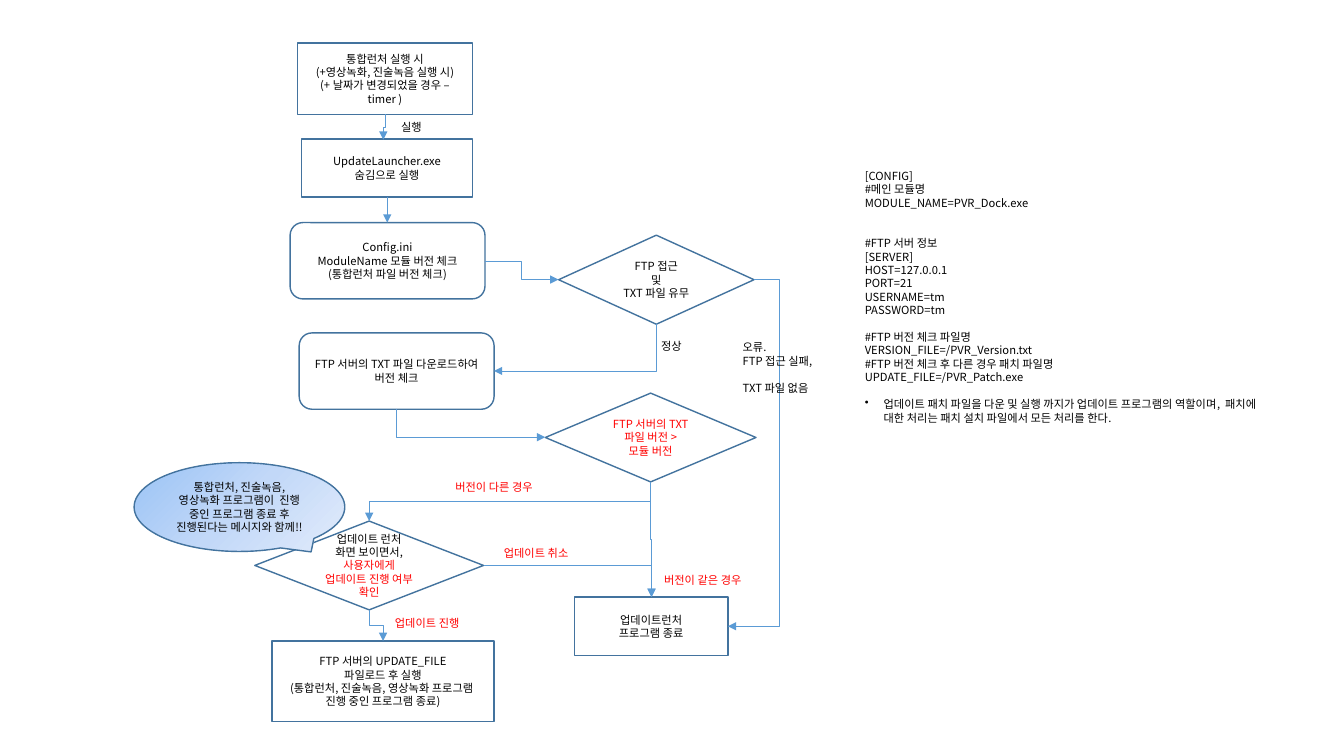
import pptx
import pptx.dml.color
import pptx.enum.dml
import pptx.enum.shapes
import pptx.enum.text
import pptx.oxml
import pptx.oxml.ns
import pptx.util
import copy

Pt = pptx.util.Pt
RGBColor = pptx.dml.color.RGBColor
SHAPE = pptx.enum.shapes.MSO_SHAPE
ALIGN = pptx.enum.text.PP_ALIGN
qn = pptx.oxml.ns.qn

BLACK = RGBColor(0x00, 0x00, 0x00)
RED = RGBColor(0xFF, 0x00, 0x00)
WHITE = RGBColor(0xFF, 0xFF, 0xFF)
OUTLINE = RGBColor(0x43, 0x73, 0x9E)
ARROW = RGBColor(0x5B, 0x9B, 0xD5)
CALLOUT_COLORS = (
    RGBColor(0x9A, 0xC3, 0xF5),
    RGBColor(0xC2, 0xD8, 0xF8),
    RGBColor(0xE1, 0xEB, 0xFB),
)
FONT = "Noto Sans CJK KR"
TEXT_SIZE = 8
LINE_HEIGHT = 9.6

CONFIG_BLOCKS = [
    (0, ["[CONFIG]", "#메인 모듈명", "MODULE_NAME=PVR_Dock.exe"]),
    (2, ["#FTP 서버 정보", "[SERVER]", "HOST=127.0.0.1", "PORT=21",
         "USERNAME=tm", "PASSWORD=tm"]),
    (1, ["#FTP 버전 체크 파일명", "VERSION_FILE=/PVR_Version.txt",
         "#FTP 버전 체크 후 다른 경우 패치 파일명", "UPDATE_FILE=/PVR_Patch.exe"]),
]
CONFIG_NOTE = ("업데이트 패치 파일을 다운 및 실행 까지가 업데이트 프로그램의 역할이며,  "
               "패치에 대한 처리는 패치 설치 파일에서 모든 처리를 한다.")

BOXES = [
    (SHAPE.FLOWCHART_DECISION, 389.5, 280.8, 150.5, 63.4,
     [("FTP 서버의 TXT 파일 버전 >", RED), ("모듈 버전", RED)]),
    (SHAPE.FLOWCHART_PROCESS, 215.3, 99.4, 122.4, 41.4,
     [("UpdateLauncher.exe", BLACK), ("숨김으로 실행", BLACK)]),
    (SHAPE.FLOWCHART_PROCESS, 410.4, 426.4, 109.6, 41.8,
     [("업데이트런처", BLACK), ("프로그램 종료", BLACK)]),
    (SHAPE.FLOWCHART_ALTERNATE_PROCESS, 207.2, 159, 139.2, 54.5,
     [("Config.ini", BLACK), ("ModuleName 모듈 버전 체크", BLACK),
      ("(통합런처 파일 버전 체크)", BLACK)]),
    (SHAPE.FLOWCHART_ALTERNATE_PROCESS, 213.7, 237.8, 139.2, 54.5,
     [("FTP 서버의 TXT 파일 다운로드하여 버전 체크", BLACK)]),
    (SHAPE.FLOWCHART_DECISION, 399, 168, 139.6, 63.6,
     [("FTP 접근", BLACK), ("및", BLACK), ("TXT 파일 유무", BLACK)]),
    (SHAPE.FLOWCHART_PROCESS, 212.4, 30.7, 125.3, 51.1,
     [("통합런처 실행 시", BLACK),
      ("(+영상녹화, 진술녹음 실행 시)\n(+ 날짜가 변경되었을 경우 – timer )", BLACK)]),
    (SHAPE.FLOWCHART_PROCESS, 194.4, 457.9, 158.4, 57.6,
     [("FTP 서버의 UPDATE_FILE", BLACK),
      ("파일로드 후 실행\n(통합런처, 진술녹음, 영상녹화 프로그램  진행 중인 프로그램 종료)", BLACK)]),
    (SHAPE.FLOWCHART_DECISION, 182, 372.2, 163.4, 63.4,
     [("업데이트 런처", BLACK), ("화면 보이면서,", BLACK),
      ("사용자에게 업데이트 진행 여부 확인", RED)]),
]

DOWN_ARROWS = [
    ((276.6, 140.6), (276.6, 159), 3),
    ((468.8, 231.6), (352.8, 265), 2),
    ((283.2, 292.3), (389.5, 312.3), 2),
    ((464.6, 344.2), (465.4, 426.4), 3),
    ((464.6, 344.2), (263.7, 372.2), 3),
    ((275.2, 81.6), (273.8, 99.8), 3),
    ((263.7, 435.6), (273.6, 457.9), 3),
]
SIDE_ARROWS = [
    ((346.4, 186.4), (399, 199.7), 3, None),
    ((538.6, 199.7), (520, 447.3), 3, -0.977),
    ((345.4, 403.8), (465.4, 426.4), 2, None),
]

LABELS = [
    ("버전이 다른 경우", 318.2, 339.8, 77, RED),
    ("버전이 같은 경우", 467.3, 406.1, 77, RED),
    ("정상", 465.1, 239, 31, BLACK),
    ("실행", 279.4, 82.1, 31, BLACK),
    ("업데이트 취소", 352.8, 386.6, 66.2, RED),
    ("업데이트 진행", 275, 437, 66.2, RED),
]


def add_run(paragraph, text, color):
    run = paragraph.add_run()
    run.text = text
    run.font.size = Pt(TEXT_SIZE)
    run.font.name = FONT
    run.font.color.rgb = color
    east_asian = pptx.oxml.parse_xml(
        f'<a:ea {pptx.oxml.ns.nsdecls("a")} typeface="{FONT}"/>')
    run.font._element.find(qn("a:latin")).addnext(east_asian)


def add_paragraph(frame, text, color, first, alignment=ALIGN.LEFT, gap=0):
    paragraph = frame.paragraphs[0] if first else frame.add_paragraph()
    paragraph.alignment = alignment
    paragraph.space_before = Pt(gap)
    for index, line in enumerate(text.split("\n")):
        if index:
            paragraph.add_line_break()
        add_run(paragraph, line, color)
    return paragraph


def add_box(slide, kind, left, top, width, height, paragraphs):
    shape = slide.shapes.add_shape(kind, Pt(left), Pt(top), Pt(width), Pt(height))
    shape.shadow.inherit = False
    shape.fill.solid()
    shape.fill.fore_color.rgb = WHITE
    shape.line.color.rgb = OUTLINE
    shape.line.width = Pt(1)
    frame = shape.text_frame
    frame.word_wrap = True
    frame.vertical_anchor = pptx.enum.text.MSO_ANCHOR.MIDDLE
    for index, (text, color) in enumerate(paragraphs):
        add_paragraph(frame, text, color, index == 0, ALIGN.CENTER)
    return shape


def add_callout(slide):
    callout = add_box(
        slide, SHAPE.OVAL_CALLOUT, 95.8, 330.5, 150.5, 63.4,
        [("통합런처, 진술녹음, 영상녹화 프로그램이  진행 중인 프로그램 종료 후 "
          "진행된다는 메시지와 함께!!", BLACK)])
    callout.adjustments[0] = 0.34
    callout.adjustments[1] = 0.505
    callout.fill.gradient()
    callout.fill.gradient_angle = 315
    first_stop = callout._element.spPr.find(".//" + qn("a:gs"))
    first_stop.addnext(copy.deepcopy(first_stop))
    for index, stop in enumerate(callout.fill.gradient_stops):
        stop.position = index / 2
        stop.color.rgb = CALLOUT_COLORS[index]


def add_text(slide, left, top, width, height, wrap):
    box = slide.shapes.add_textbox(Pt(left), Pt(top), Pt(width), Pt(height))
    box.text_frame.word_wrap = wrap
    return box.text_frame


def add_config(slide):
    frame = add_text(slide, 610.6, 117.4, 301, 191.5, True)
    for blank_lines, lines in CONFIG_BLOCKS:
        for index, line in enumerate(lines):
            gap = 0 if index else blank_lines * LINE_HEIGHT
            add_paragraph(frame, line, BLACK, blank_lines == 0 and index == 0, gap=gap)
    note = add_paragraph(frame, CONFIG_NOTE, BLACK, False, gap=LINE_HEIGHT)
    properties = note._p.get_or_add_pPr()
    properties.set("marL", str(Pt(13.5)))
    properties.set("indent", str(-Pt(13.5)))
    properties.append(pptx.oxml.parse_xml(
        f'<a:buChar {pptx.oxml.ns.nsdecls("a")} char="•"/>'))


def add_arrow(slide, start, end, segments, bend=None):
    connector = slide.shapes.add_connector(
        pptx.enum.shapes.MSO_CONNECTOR.ELBOW, *(Pt(value) for value in start + end))
    connector.line.color.rgb = ARROW
    connector.line.width = Pt(0.5)
    namespace = pptx.oxml.ns.nsdecls("a")
    connector.line._get_or_add_ln().append(
        pptx.oxml.parse_xml(f'<a:tailEnd {namespace} type="triangle"/>'))
    properties = connector._element.spPr
    properties.append(pptx.oxml.parse_xml(f"<a:effectLst {namespace}/>"))
    geometry = properties.find(qn("a:prstGeom"))
    geometry.set("prst", f"bentConnector{segments}")
    if bend is not None:
        geometry.find(qn("a:avLst")).append(pptx.oxml.parse_xml(
            f'<a:gd {namespace} name="adj1" fmla="val {round(bend * 100000)}"/>'))
    return connector


def add_down_arrow(slide, start, end, segments):
    connector = add_arrow(slide, start, end, segments)
    run, drop = abs(end[0] - start[0]), end[1] - start[1]
    connector.left = Pt((start[0] + end[0] - drop) / 2)
    connector.top = Pt((start[1] + end[1] - run) / 2)
    connector.width, connector.height = Pt(drop), Pt(run)
    to_right = end[0] > start[0]
    transform = connector._element.spPr.find(qn("a:xfrm"))
    transform.set("rot", str((270 if to_right else 90) * 60000))
    transform.set("flipH", "1" if to_right else "0")


def main():
    presentation = pptx.Presentation()
    presentation.slide_width, presentation.slide_height = Pt(960), Pt(540)
    slide = presentation.slides.add_slide(presentation.slide_layouts[6])
    add_config(slide)
    for box in BOXES:
        add_box(slide, *box)
    for arrow in DOWN_ARROWS:
        add_down_arrow(slide, *arrow)
    for arrow in SIDE_ARROWS:
        add_arrow(slide, *arrow)
    for text, left, top, width, color in LABELS:
        add_paragraph(add_text(slide, left, top, width, 17, False), text, color, True)
    error = add_text(slide, 523.4, 239.8, 67.7, 36, False)
    add_paragraph(error, "오류.", BLACK, True)
    add_paragraph(error, "FTP 접근 실패,", BLACK, False)
    add_paragraph(error, "TXT 파일 없음", BLACK, False, gap=LINE_HEIGHT)
    add_callout(slide)
    presentation.save("out.pptx")


if __name__ == "__main__":
    main()
